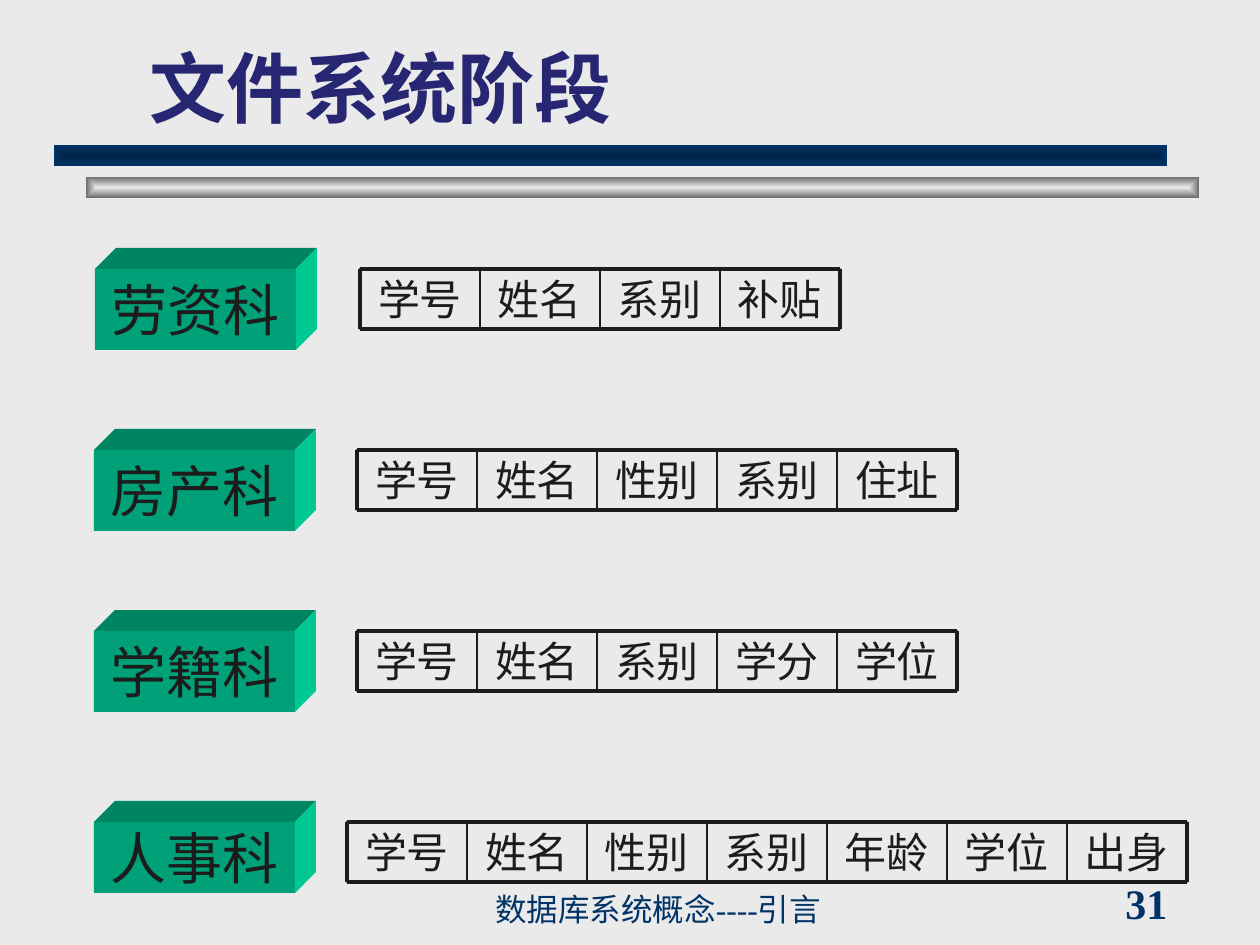
from dataclasses import dataclass

from lxml.etree import SubElement
from pptx import Presentation
from pptx.dml.color import RGBColor
from pptx.enum.shapes import MSO_CONNECTOR as Connector, MSO_SHAPE as Preset
from pptx.enum.text import MSO_ANCHOR as Anchor, PP_ALIGN as Align
from pptx.oxml import parse_xml
from pptx.oxml.ns import nsdecls, qn
from pptx.util import Pt


@dataclass(frozen=True)
class Theme:
    """Colours, fonts, type sizes and line widths of the slide."""
    background: str = "EAEAEA"
    title: str = "262673"
    ink: str = "1C1C1C"
    navy: str = "003366"
    navy_dark: str = "002449"
    grey: str = "6C6C6C"
    box_front: str = "00A078"
    box_top: str = "008563"
    box_side: str = "00C893"
    title_font: str = "Roboto"
    box_font: str = "Lato"
    body_font: str = "Times New Roman"
    title_size: int = 44
    box_size: int = 32
    field_size: int = 24
    footer_size: int = 18
    frame: float = 2.25
    divider: float = 1
    outline: float = 0.75


THEME = Theme()
SCALE = 914400 / 126
FIELD_WIDTH, FIELD_HEIGHT = 120, 60
BOX_WIDTH, BOX_DEPTH = 201, 21
DEPARTMENTS = [
    ("劳资科", 95, 269, 81, 360, "学号 姓名 系别 补贴"),
    ("房产科", 94, 450, 81, 357, "学号 姓名 性别 系别 住址"),
    ("学籍科", 94, 631, 81, 357, "学号 姓名 系别 学分 学位"),
    ("人事科", 94, 822, 71, 347, "学号 姓名 性别 系别 年龄 学位 出身"),
]


def px(*lengths):
    """Turn pixel lengths into EMU."""
    return [round(length * SCALE) for length in lengths]


def write(frame, text, font, size, color, bold=False, align=Align.LEFT,
          anchor=Anchor.MIDDLE, wrap=False):
    """Write one formatted paragraph into a text frame."""
    frame.text = text
    frame.word_wrap = wrap
    frame.vertical_anchor = anchor
    paragraph = frame.paragraphs[0]
    paragraph.alignment = align
    paragraph.font.name = font
    paragraph.font.size = Pt(size)
    paragraph.font.bold = bold
    paragraph.font.color.rgb = RGBColor.from_string(color)


def paint(shape, color):
    """Give a shape a flat fill without outline or shadow."""
    shape.fill.solid()
    shape.fill.fore_color.rgb = RGBColor.from_string(color)
    shape.line.fill.background()
    shape.shadow.inherit = False


def stroke(shape, width):
    """Give a shape or connector an ink line."""
    shape.line.color.rgb = RGBColor.from_string(THEME.ink)
    shape.line.width = Pt(width)


def add_bar(slide, left, top, center, edge):
    """Add a title rule shaded from its centre to its edges."""
    bar = slide.shapes.add_shape(Preset.RECTANGLE, *px(left, top, 1113, 21))
    paint(bar, center)
    shading = parse_xml(
        f'<a:gradFill {nsdecls("a")} rotWithShape="1"><a:gsLst>'
        f'<a:gs pos="0"><a:srgbClr val="{center}"/></a:gs>'
        f'<a:gs pos="100000"><a:srgbClr val="{edge}"/></a:gs></a:gsLst>'
        '<a:path path="shape"><a:fillToRect l="50000" t="50000" r="50000" b="50000"/>'
        '</a:path></a:gradFill>')
    properties = bar.fill._xPr
    properties.replace(properties.find(qn("a:solidFill")), shading)


def add_face(slide, corners, color):
    """Add one slanted face of a department box."""
    start, *others = corners
    builder = slide.shapes.build_freeform(*start, scale=SCALE)
    builder.add_line_segments(others, close=True)
    paint(builder.convert_to_shape(), color)


def add_department(slide, name, left, top, height):
    """Add a solid box with the department's name on its front."""
    right, bottom, depth = left + BOX_WIDTH, top + height, BOX_DEPTH
    add_face(slide, [(left, top), (left + depth, top - depth),
                     (right + depth, top - depth), (right, top)], THEME.box_top)
    add_face(slide, [(right, top), (right + depth, top - depth),
                     (right + depth, bottom - depth), (right, bottom)], THEME.box_side)
    front = slide.shapes.add_shape(Preset.RECTANGLE, *px(left, top, BOX_WIDTH, height))
    paint(front, THEME.box_front)
    write(front.text_frame, name, THEME.box_font, THEME.box_size, THEME.ink,
          align=Align.CENTER)


def add_field(record, left, top, name):
    """Add one outlined field to a record."""
    field = record.shapes.add_shape(
        Preset.RECTANGLE, *px(left, top, FIELD_WIDTH, FIELD_HEIGHT))
    field.fill.background()
    field.shadow.inherit = False
    stroke(field, THEME.outline)
    frame = field.text_frame
    frame.margin_left = frame.margin_right = frame.margin_top = frame.margin_bottom = 0
    write(frame, name, THEME.body_font, THEME.field_size, THEME.ink,
          align=Align.CENTER, wrap=True)


def add_rule(record, start, end, width):
    """Add one straight line to a record."""
    rule = record.shapes.add_connector(Connector.STRAIGHT, *px(*start, *end))
    stroke(rule, width)
    SubElement(rule._element.spPr, qn("a:effectLst"))


def add_record(slide, left, top, fields):
    """Add the framed row of a department's file fields."""
    record = slide.shapes.add_group_shape()
    edges = [left + FIELD_WIDTH * index for index in range(len(fields) + 1)]
    right, bottom = edges[-1], top + FIELD_HEIGHT
    for edge, name in zip(edges, fields):
        add_field(record, edge, top, name)
    for level in (top, bottom):
        add_rule(record, (left, level), (right, level), THEME.frame)
    for edge in edges:
        width = THEME.frame if edge in (left, right) else THEME.divider
        add_rule(record, (edge, top), (edge, bottom), width)


def add_title(slide, text):
    """Place and fill the title placeholder."""
    title = slide.shapes.title
    title.left, title.top, title.width, title.height = px(137, 31, 1074, 108)
    write(title.text_frame, text, THEME.title_font, THEME.title_size, THEME.title,
          bold=True, anchor=Anchor.BOTTOM, wrap=True)


def add_note(slide, text, bounds, size, **style):
    """Add a line of text at the foot of the slide."""
    note = slide.shapes.add_textbox(*px(*bounds))
    write(note.text_frame, text, THEME.body_font, size, THEME.navy, **style)


def main():
    """Build and save the slide."""
    deck = Presentation()
    deck.slide_width, deck.slide_height = px(1260, 945)
    slide = deck.slides.add_slide(deck.slide_layouts[5])
    slide.background.fill.solid()
    slide.background.fill.fore_color.rgb = RGBColor.from_string(THEME.background)

    add_bar(slide, 86, 177, THEME.background, THEME.grey)
    add_bar(slide, 54, 145, THEME.navy_dark, THEME.navy)
    add_title(slide, "文件系统阶段")
    for name, box_left, top, height, record_left, fields in DEPARTMENTS:
        add_record(slide, record_left, top, fields.split())
        add_department(slide, name, box_left, top, height)
    add_note(slide, "数据库系统概念----引言", (483, 892, 514, 42), THEME.footer_size,
             anchor=Anchor.BOTTOM, wrap=True)
    add_note(slide, "31", (1113, 882, 136, 42), THEME.field_size, bold=True)
    deck.save("out.pptx")


if __name__ == "__main__":
    main()
